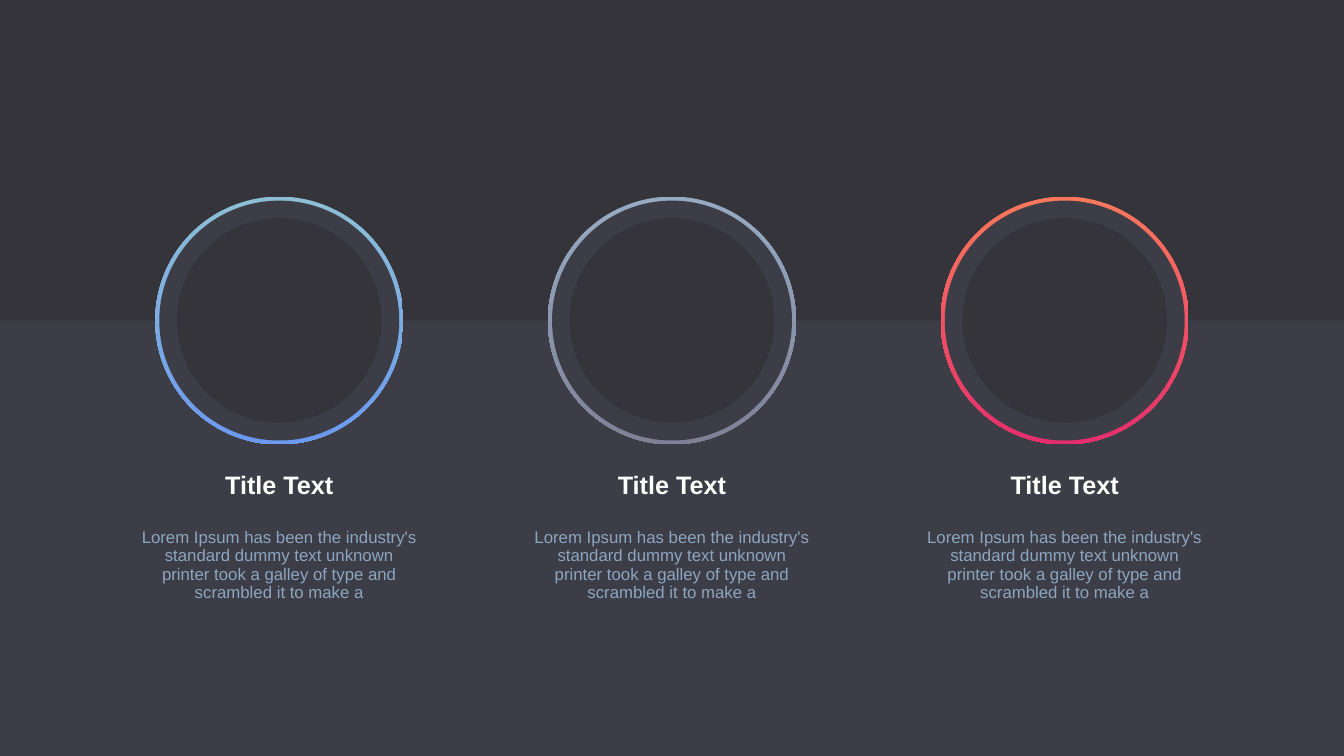
import pptx
import pptx.util
import pptx.dml.color
import pptx.enum.shapes
import pptx.enum.text
from dataclasses import dataclass

# Content: title, text, ring colours from top to bottom
BODY = ("Lorem Ipsum has been the industry's standard dummy text unknown "
        "printer took a galley of type and scrambled it to make a")
ITEMS = [
    ("Title Text", BODY, ("8CBED5", "6C9AF0")),
    ("Title Text", BODY, ("96ABC3", "808197")),
    ("Title Text", BODY, ("FC785B", "E52F6D")),
]


@dataclass
class Theme:
    back: str = "3C3D47"
    dark: str = "35343A"
    title: str = "FFFFFB"
    body: str = "8DA6C0"
    font: str = "Arial"
    big: int = 18
    small: int = 12


theme = Theme()
Inches = pptx.util.Inches
SHAPE = pptx.enum.shapes.MSO_SHAPE

# Layout in inches
WIDE, HIGH = 13.33, 7.5
MID = WIDE / 2
STEP = 3.895
RING_Y = 3.18
RING, INNER, CORE = 2.46, 2.38, 2.03


def color(code):
    return pptx.dml.color.RGBColor.from_string(code)


def add_shape(shapes, kind, left, top, width, height, fill):
    """Add a plain shape; a pair of colours gives a vertical gradient."""
    shape = shapes.add_shape(kind, Inches(left), Inches(top),
                             Inches(width), Inches(height))
    shape.shadow.inherit = False
    shape.line.fill.background()
    if isinstance(fill, tuple):
        shape.fill.gradient()
        shape.fill.gradient_angle = 270
        for stop, code, place in zip(shape.fill.gradient_stops, fill, (0, 1)):
            stop.color.rgb = color(code)
            stop.position = place
    else:
        shape.fill.solid()
        shape.fill.fore_color.rgb = color(fill)


def add_text(mid, top, width, height, text, size, code, bold=False, space=1.0):
    box = slide.shapes.add_textbox(Inches(mid - width / 2), Inches(top),
                                   Inches(width), Inches(height))
    frame = box.text_frame
    frame.word_wrap = True
    frame.auto_size = pptx.enum.text.MSO_AUTO_SIZE.SHAPE_TO_FIT_TEXT
    frame.vertical_anchor = pptx.enum.text.MSO_ANCHOR.MIDDLE
    frame.margin_left = frame.margin_right = Inches(0.03)
    frame.margin_top = frame.margin_bottom = Inches(0.03)
    para = frame.paragraphs[0]
    para.text = text
    para.alignment = pptx.enum.text.PP_ALIGN.CENTER
    para.line_spacing = space
    para.font.name = theme.font
    para.font.size = pptx.util.Pt(size)
    para.font.bold = bold
    para.font.color.rgb = color(code)


def add_ring(mid, hues):
    group = slide.shapes.add_group_shape()
    for size, fill in ((RING, hues), (INNER, theme.back), (CORE, theme.dark)):
        add_shape(group.shapes, SHAPE.OVAL, mid - size / 2, RING_Y - size / 2,
                  size, size, fill)


# Slide and background
deck = pptx.Presentation()
deck.slide_width, deck.slide_height = Inches(WIDE), Inches(HIGH)
slide = deck.slides.add_slide(deck.slide_layouts[6])
slide.background.fill.solid()
slide.background.fill.fore_color.rgb = color(theme.back)

# Dark upper band
add_shape(slide.shapes, SHAPE.RECTANGLE, -0.03, -0.01, 13.39, 3.19, theme.dark)

# Columns: title, text and ring
for col, (title, body, hues) in enumerate(ITEMS):
    mid = MID + (col - (len(ITEMS) - 1) / 2) * STEP
    add_text(mid, 4.63, 2.14, 0.36, title, theme.big, theme.title, bold=True)
    add_text(mid, 5.22, 2.8, 0.78, body, theme.small, theme.body, space=0.9)
    add_ring(mid, hues)

deck.save("out.pptx")
